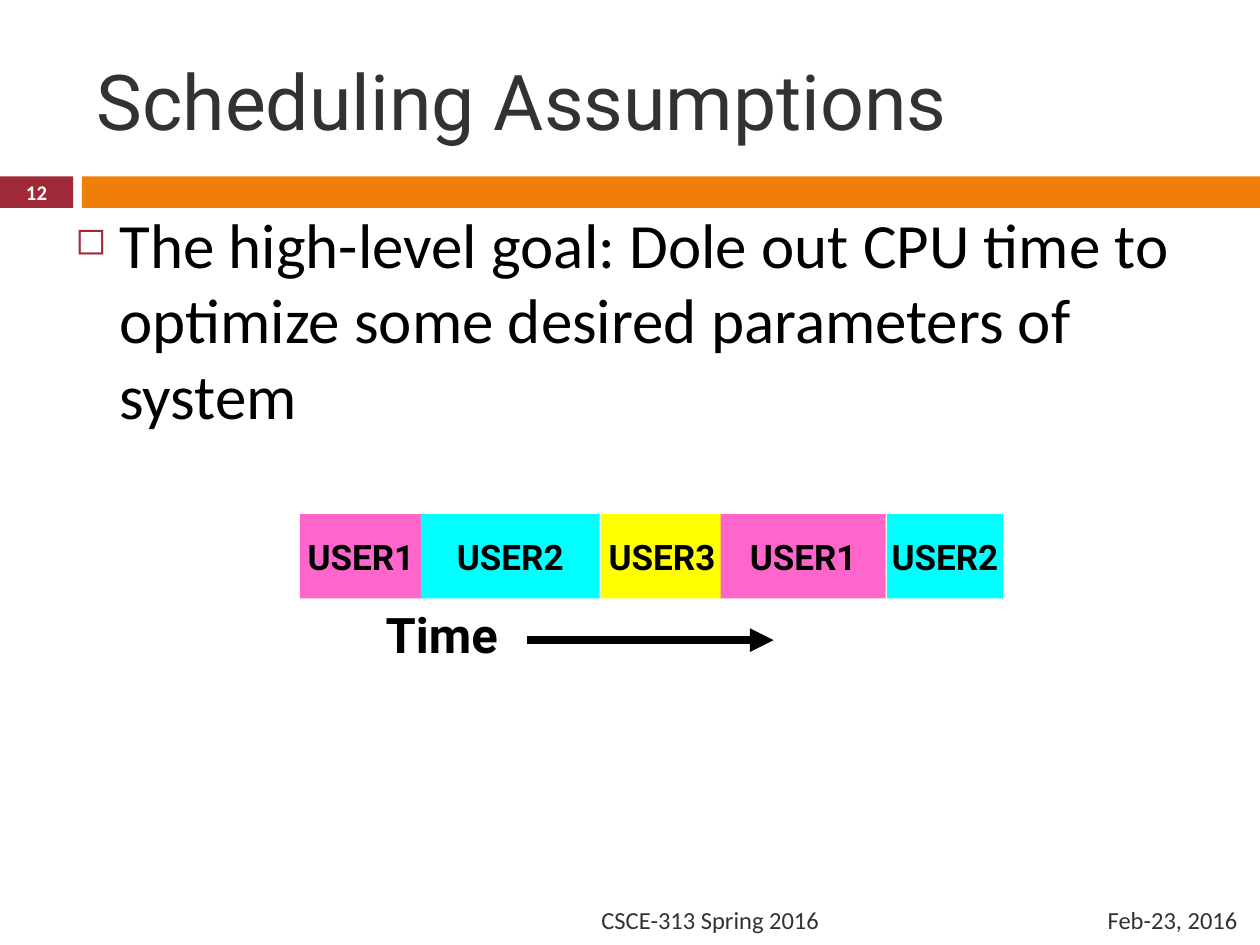
from lxml import etree
from pptx import Presentation
from pptx.dml.color import RGBColor
from pptx.enum import shapes, text
from pptx.oxml.ns import qn
from pptx.util import Inches, Pt

BLACK = RGBColor(0x00, 0x00, 0x00)
WHITE = RGBColor(0xFF, 0xFF, 0xFF)
GRAY = RGBColor(0x32, 0x32, 0x32)
RED = RGBColor(0x9F, 0x29, 0x36)
ORANGE = RGBColor(0xF0, 0x7F, 0x09)
PINK = RGBColor(0xFF, 0x66, 0xCC)
CYAN = RGBColor(0x00, 0xFF, 0xFF)
YELLOW = RGBColor(0xFF, 0xFF, 0x00)
LEFT, CENTER, RIGHT = text.PP_ALIGN.LEFT, text.PP_ALIGN.CENTER, text.PP_ALIGN.RIGHT
TOP, MIDDLE = text.MSO_ANCHOR.TOP, text.MSO_ANCHOR.MIDDLE

presentation = Presentation()
presentation.slide_width = Inches(10)
presentation.slide_height = Inches(7.5)
slide = presentation.slides.add_slide(presentation.slide_layouts[6])


def add_rectangle(left, top, width, height, color):
    """Add a borderless filled rectangle and return it."""
    shape = slide.shapes.add_shape(
        shapes.MSO_SHAPE.RECTANGLE,
        Inches(left), Inches(top), Inches(width), Inches(height))
    shape.shadow.inherit = False
    shape.fill.solid()
    shape.fill.fore_color.rgb = color
    shape.line.fill.background()
    return shape


def write(shape, words, size, font, color, align=LEFT, anchor=MIDDLE, bold=False, wrap=True):
    """Put one formatted run into a shape and return its paragraph."""
    frame = shape.text_frame
    frame.word_wrap = wrap
    frame.vertical_anchor = anchor
    paragraph = frame.paragraphs[0]
    paragraph.alignment = align
    run = paragraph.add_run()
    run.text = words
    run.font.size = Pt(size)
    run.font.name = font
    run.font.bold = bold
    run.font.color.rgb = color
    return paragraph


# Header bars
add_rectangle(0, 1.4, 0.58, 0.25, RED)
add_rectangle(0.65, 1.4, 9.35, 0.25, ORANGE)

# Title, footer and slide number
for left, top, width, height, words, size, font, color, align, bold in (
    (0.67, 0.25, 8.92, 1.08, "Scheduling Assumptions", 44, "Roboto", GRAY, LEFT, False),
    (7, 7.1, 2.92, 0.4, "Feb-23, 2016", 14, "Calibri", GRAY, RIGHT, False),
    (0.67, 7.1, 5.93, 0.4, "CSCE-313 Spring 2016", 14, "Calibri", GRAY, RIGHT, False),
    (0, 1.39, 0.58, 0.27, "12", 11.9, "Calibri", WHITE, CENTER, True),
):
    box = slide.shapes.add_textbox(Inches(left), Inches(top), Inches(width), Inches(height))
    write(box, words, size, font, color, align, bold=bold)

# Bulleted goal
goal = slide.shapes.add_textbox(Inches(0.5), Inches(1.58), Inches(9.5), Inches(2.1))
paragraph = write(
    goal,
    "The high-level goal: Dole out CPU time to optimize some desired parameters of system",
    36, "Calibri", BLACK, anchor=TOP)
paragraph.space_before = Pt(7)
properties = paragraph._p.get_or_add_pPr()
properties.set("marL", str(Inches(0.35)))
properties.set("indent", str(Inches(-0.35)))
bullet_color = etree.SubElement(properties, qn("a:buClr"))
etree.SubElement(bullet_color, qn("a:srgbClr"), val=str(RED))
etree.SubElement(properties, qn("a:buSzPct"), val="60000")
etree.SubElement(properties, qn("a:buChar"), char="\u25fb")

# CPU time slices
for left, width, user, color in (
    (2.38, 0.97, "USER1", PINK),
    (3.34, 1.42, "USER2", CYAN),
    (4.77, 0.97, "USER3", YELLOW),
    (5.72, 1.31, "USER1", PINK),
    (7.04, 0.92, "USER2", CYAN),
):
    time_slice = add_rectangle(left, 4.08, width, 0.67, color)
    write(time_slice, user, 20, "Roboto", BLACK, CENTER, bold=True, wrap=False)

# Time axis
time_label = slide.shapes.add_textbox(Inches(2.95), Inches(4.75), Inches(1.11), Inches(0.49))
write(time_label, "Time ", 28, "Roboto", BLACK, CENTER, TOP, bold=True, wrap=False)
arrow = slide.shapes.add_connector(
    shapes.MSO_CONNECTOR.STRAIGHT, Inches(4.18), Inches(5.08), Inches(6.14), Inches(5.08))
arrow.line.color.rgb = BLACK
arrow.line.width = Pt(4.5)
etree.SubElement(arrow.line._get_or_add_ln(), qn("a:tailEnd"), type="triangle")
etree.SubElement(arrow._element.spPr, qn("a:effectLst"))

presentation.save("out.pptx")
